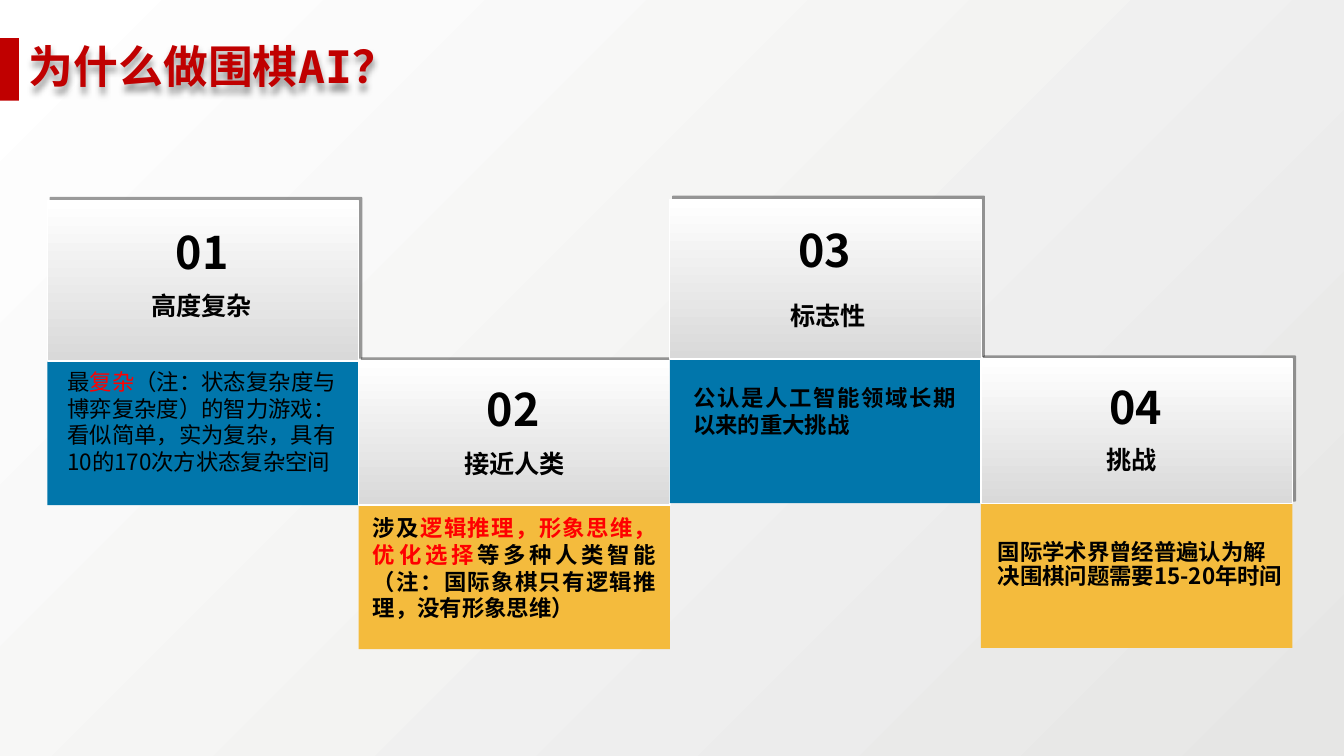
from dataclasses import dataclass

from lxml import etree
from pptx import Presentation
from pptx.dml.color import RGBColor
from pptx.enum.shapes import MSO_SHAPE as SHAPE
from pptx.enum.text import MSO_ANCHOR as ANCHOR, PP_ALIGN as ALIGN
from pptx.oxml.ns import qn
from pptx.util import Pt

BLACK = RGBColor(0, 0, 0)
WHITE = RGBColor(0xFF, 0xFF, 0xFF)
RED = RGBColor(0xFF, 0, 0)
DARK_RED = RGBColor(0xC0, 0, 0)
SILVER = RGBColor(0xD9, 0xD9, 0xD9)
MIST = RGBColor(0xE6, 0xE6, 0xE5)
BLUE = RGBColor(0x01, 0x76, 0xAB)
AMBER = RGBColor(0xF4, 0xBB, 0x3D)

SANS = "Noto Sans CJK SC"
MONO = "DejaVu Sans Mono"

CARD_LEFT, CARD_STEP, CARD_WIDTH = 33.8, 222.3, 222.5
BODY_HEIGHT = 103


@dataclass
class Card:
    number: str
    label: str
    top: float
    head_height: float
    number_drop: float
    label_box: tuple
    body_color: RGBColor
    body_box: tuple
    body_runs: list
    label_align: ALIGN = ALIGN.CENTER
    body_align: ALIGN = ALIGN.JUSTIFY
    body_bold: bool = True
    body_spacing: float = 1.0
    space_after: float = 0


CARDS = [
    Card("01", "高度复杂", 143.3, 114.5, 13.6, (17.3, 60.4, 185.8), BLUE,
         (7.2, 1.4, 206, 104.4),
         [("最", BLACK), ("复杂", RED),
          ("（注：状态复杂度与博弈复杂度）的智力游戏：看似简单，实为复杂，"
           "具有10的170次方状态复杂空间", BLACK)],
         body_bold=False, space_after=12),
    Card("02", "接近人类", 257.8, 103, 11.5, (28, 59, 167), AMBER,
         (3.2, 2.8, 216.7, 85),
         [("涉及", BLACK), ("逻辑推理，形象思维，优化选择", RED),
          ("等多种人类智能（注：国际象棋只有逻辑推理，没有形象思维）", BLACK)]),
    Card("03", "标志性", 142.3, 114.2, 13.2, (78.9, 68.6, 167), BLUE,
         (9.8, 14.3, 201.6, 46),
         [("公认是人工智能领域长期以来的重大挑战", BLACK)],
         label_align=ALIGN.LEFT),
    Card("04", "挑战", 256.5, 103.4, 11.4, (15, 57.6, 185), AMBER,
         (5, 23.2, 218.9, 42.5),
         [("国际学术界曾经普遍认为解决围棋问题需要15-20年时间", BLACK)],
         body_align=ALIGN.LEFT, body_spacing=0.9),
]


def add_shadow(sp, blur, distance, direction, opacity):
    sp_pr = sp._element.spPr
    for old in sp_pr.findall(qn("a:effectLst")):
        sp_pr.remove(old)
    effects = etree.SubElement(sp_pr, qn("a:effectLst"))
    outer = etree.SubElement(
        effects, qn("a:outerShdw"), blurRad=str(Pt(blur)), dist=str(Pt(distance)),
        dir=str(direction * 60000), algn="tl", rotWithShape="0")
    color = etree.SubElement(outer, qn("a:srgbClr"), val=str(BLACK))
    etree.SubElement(color, qn("a:alpha"), val=str(opacity * 1000))


def set_gradient(fill, start, end, angle):
    fill.gradient()
    fill.gradient_angle = angle
    for stop, color, position in zip(fill.gradient_stops, (start, end), (0, 1)):
        stop.color.rgb = color
        stop.position = position


def add_box(slide, left, top, width, height, color=None):
    sp = slide.shapes.add_shape(SHAPE.RECTANGLE, Pt(left), Pt(top), Pt(width), Pt(height))
    sp.shadow.inherit = False
    sp.line.fill.background()
    if color is not None:
        sp.fill.solid()
        sp.fill.fore_color.rgb = color
    return sp


def add_text(slide, left, top, width, height, runs, size, align=ALIGN.LEFT,
             bold=True, font=SANS, spacing=1.0, after=0):
    sp = slide.shapes.add_textbox(Pt(left), Pt(top), Pt(width), Pt(height))
    tf = sp.text_frame
    tf.word_wrap = True
    p = tf.paragraphs[0]
    p.alignment = align
    p.line_spacing = spacing
    p.space_after = Pt(after)
    for text, color in runs:
        r = p.add_run()
        r.text = text
        r.font.size = Pt(size)
        r.font.bold = bold
        r.font.color.rgb = color
        r.font.name = font
        etree.SubElement(r._r.get_or_add_rPr(), qn("a:ea"), typeface=SANS)
    return sp


def add_title(slide, left, top, width, height):
    bar_width = 13.6
    add_box(slide, left, top, bar_width, height, DARK_RED)
    sp = add_text(slide, left + bar_width, top, width - bar_width, height,
                  [("为什么做围棋AI？", DARK_RED)], 32, font=MONO, spacing=0.9)
    sp.text_frame.vertical_anchor = ANCHOR.MIDDLE
    add_shadow(sp, 3, 3, 90, 40)


def add_card(slide, card, left, top, width):
    body_top = top + card.head_height
    add_box(slide, left, body_top, width, BODY_HEIGHT, card.body_color)

    head = add_box(slide, left, top, width, card.head_height)
    set_gradient(head.fill, WHITE, SILVER, 270)
    head.line.color.rgb = WHITE
    head.line.width = Pt(1)
    add_shadow(head, 0, 3, 315, 39)

    add_text(slide, left + 84.6, top + card.number_drop, 55.4, 46,
             [(card.number, BLACK)], 32)
    x, y, label_width = card.label_box
    add_text(slide, left + x, top + y, label_width, 29,
             [(card.label, BLACK)], 18, card.label_align)
    x, y, text_width, text_height = card.body_box
    add_text(slide, left + x, body_top + y, text_width, text_height, card.body_runs,
             16, card.body_align, card.body_bold, spacing=card.body_spacing,
             after=card.space_after)


def main():
    prs = Presentation()
    prs.slide_width, prs.slide_height = Pt(960), Pt(540)
    slide = prs.slides.add_slide(prs.slide_layouts[6])
    set_gradient(slide.background.fill, MIST, WHITE, 135)
    add_title(slide, 0, 27.2, 878, 44.8)
    for i, card in enumerate(CARDS):
        add_card(slide, card, CARD_LEFT + i * CARD_STEP, card.top, CARD_WIDTH)
    prs.save("out.pptx")


if __name__ == "__main__":
    main()
